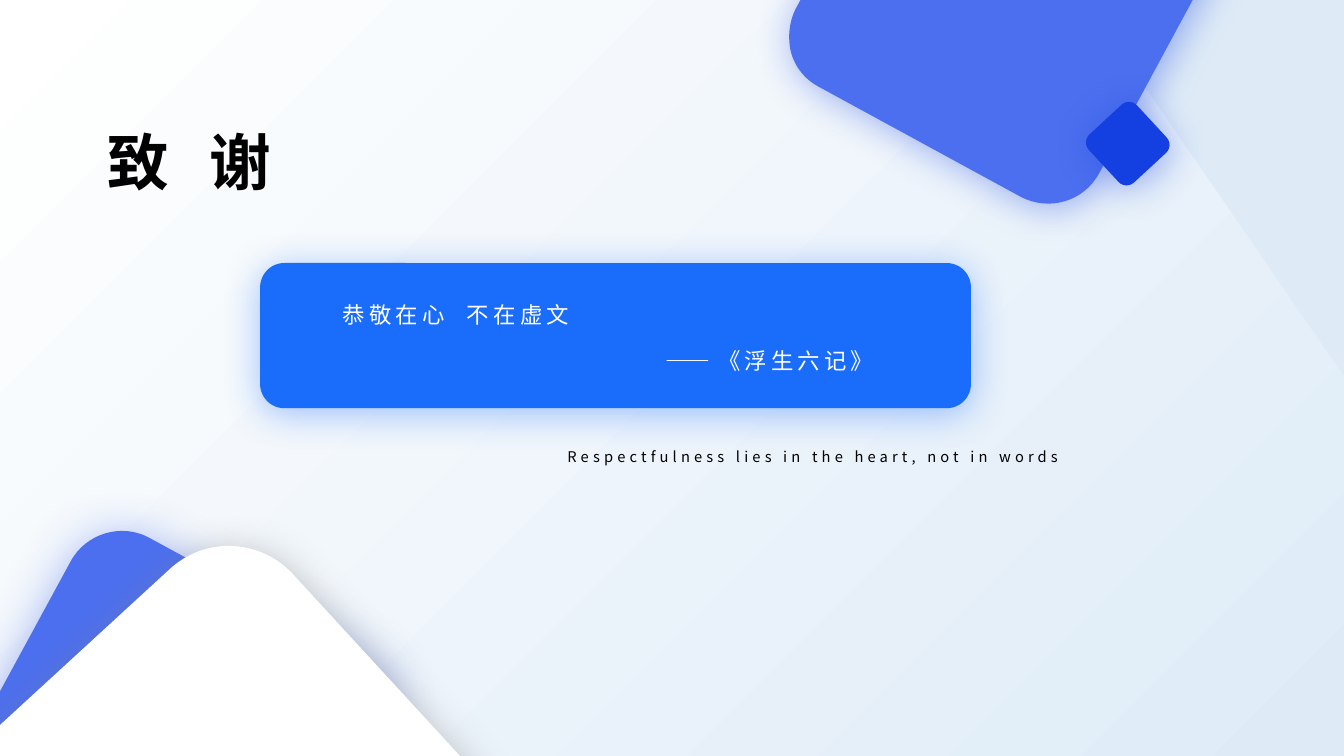
from dataclasses import dataclass
from math import cos, radians, sin

from lxml.etree import SubElement
from pptx import Presentation
from pptx.dml.color import RGBColor
from pptx.enum.shapes import MSO_SHAPE as Preset
from pptx.enum.text import MSO_ANCHOR as Anchor, MSO_AUTO_SIZE as AutoSize, PP_ALIGN as Align
from pptx.oxml.ns import qn
from pptx.util import Inches, Pt


@dataclass(frozen=True)
class Theme:
    font: str = "Noto Sans CJK SC"
    white: str = "FFFFFF"
    black: str = "000000"
    pale: str = "DEEBF7"
    soft_blue: str = "4C6FEF"
    deep_blue: str = "1440E2"
    card_blue: str = "1A6CFB"
    grey: str = "808080"
    title_size: float = 44
    quote_size: float = 16
    caption_size: float = 10.5
    letter_spacing: float = 3


THEME = Theme()

# Outlines in slide inches: one point is a corner, three points are a cubic curve.
TOP_TILE = [
    [(7.83, 0.42)], [(7.84, 0.6), (7.95, 0.77), (8.12, 0.86)],
    [(10.12, 1.95)], [(10.4, 2.1), (10.75, 2), (10.9, 1.72)],
    [(11.98, -0.28)], [(12.06, -0.42), (12.07, -0.58), (12.03, -0.72)],
    [(12, -0.79)], [(8.37, -0.79)], [(7.89, 0.09)],
    [(7.84, 0.19), (7.82, 0.31), (7.83, 0.42)],
]
BOTTOM_TILE = [
    [(-0.49, 7.91)], [(3.43, 7.91)], [(3.79, 7.25)],
    [(3.94, 6.97), (3.84, 6.61), (3.55, 6.46)],
    [(1.49, 5.34)], [(1.21, 5.18), (0.85, 5.29), (0.7, 5.57)],
    [(-0.42, 7.63)], [(-0.46, 7.71), (-0.48, 7.78), (-0.49, 7.86)],
]
WHITE_PEAK = [
    [(-0.78, 7.91)], [(4.94, 7.91)], [(2.91, 5.7)],
    [(2.58, 5.34), (2.03, 5.32), (1.68, 5.65)],
]


def rgb(color):
    return RGBColor.from_string(color)


def add_glow(shape, color, blur, angle):
    """Put a soft coloured shadow around a shape."""
    effects = shape._element.spPr.find(qn("a:effectLst"))
    shadow = SubElement(effects, qn("a:outerShdw"), blurRad=str(Pt(blur)),
                        dist=str(Pt(4)), dir=str(angle * 60000),
                        algn="ctr", rotWithShape="0")
    tint = SubElement(shadow, qn("a:srgbClr"), val=color)
    SubElement(tint, qn("a:alpha"), val="40000")


def paint(shape, color, glow=None):
    shape.fill.solid()
    shape.fill.fore_color.rgb = rgb(color)
    shape.line.fill.background()
    shape.shadow.inherit = False
    if glow:
        add_glow(shape, *glow)


def add_preset(slide, preset, box, color, rotation=0, flipped=False, glow=None):
    shape = slide.shapes.add_shape(preset, *map(Inches, box))
    shape.rotation = rotation
    if flipped:
        shape._element.spPr.xfrm.set("flipH", "1")
    paint(shape, color, glow)


def to_frame(point, box, rotation):
    """Move a slide point into the box as it lies before its rotation."""
    left, top, width, height = box
    x, y = point[0] - left - width / 2, point[1] - top - height / 2
    c, s = cos(radians(rotation)), sin(radians(rotation))
    return Inches(x * c + y * s + width / 2), Inches(y * c - x * s + height / 2)


def add_outline(slide, outline, box, rotation, color, glow):
    parts = [[to_frame(point, box, rotation) for point in part] for part in outline]
    start, *ends = [part[-1] for part in parts]
    builder = slide.shapes.build_freeform(*start)
    builder.add_line_segments(ends, close=True)
    shape = builder.convert_to_shape()
    shape.left, shape.top, shape.width, shape.height = map(Inches, box)
    shape.rotation = rotation

    track = shape._element.spPr.find(".//" + qn("a:path"))
    track.set("w", str(shape.width))
    track.set("h", str(shape.height))
    for segment, part in zip(list(track), parts):
        segment.remove(segment[0])
        if len(part) == 3:
            curve = SubElement(track, qn("a:cubicBezTo"))
            track.replace(segment, curve)
            segment = curve
        for x, y in part:
            SubElement(segment, qn("a:pt"), x=str(x), y=str(y))
    paint(shape, color, glow)


def write(shape, text, size, color, bold=False):
    frame = shape.text_frame
    frame.text = text
    frame.word_wrap = True
    frame.auto_size = AutoSize.SHAPE_TO_FIT_TEXT
    frame.vertical_anchor = Anchor.TOP
    paragraph = frame.paragraphs[0]
    paragraph.alignment = Align.LEFT
    run = paragraph.runs[0]
    run.font.size = Pt(size)
    run.font.bold = bold
    run.font.color.rgb = rgb(color)
    run.font.name = THEME.font
    properties = run.font._element
    properties.set("spc", str(int(THEME.letter_spacing * 100)))
    SubElement(properties, qn("a:ea"), typeface=THEME.font)


def add_text(slide, box, text, size, color):
    write(slide.shapes.add_textbox(*map(Inches, box)), text, size, color)


def set_title(slide, box, text):
    title = slide.shapes.title
    title.left, title.top, title.width, title.height = map(Inches, box)
    write(title, text, THEME.title_size, THEME.black, bold=True)


def set_background(slide):
    fill = slide.background.fill
    fill.gradient()
    fill.gradient_angle = 315
    for stop, color in zip(fill.gradient_stops, (THEME.white, THEME.pale)):
        stop.color.rgb = rgb(color)


def main():
    deck = Presentation()
    deck.slide_width, deck.slide_height = Inches(13.33), Inches(7.5)
    slide = deck.slides.add_slide(deck.slide_layouts[5])
    set_background(slide)

    blue_glow = (THEME.deep_blue, 28, 45)
    add_preset(slide, Preset.RIGHT_TRIANGLE, (9.87, 0.48, 4.64, 3.19),
               THEME.pale, 270, flipped=True)
    add_outline(slide, TOP_TILE, (8.26, -1.75, 3.3, 3.42), 298.5,
                THEME.soft_blue, blue_glow)
    add_preset(slide, Preset.ROUNDED_RECTANGLE, (10.86, 1.1, 0.65, 0.65),
               THEME.deep_blue, 227.2, flipped=True, glow=blue_glow)
    add_outline(slide, BOTTOM_TILE, (0.16, 5.55, 3.2, 3.52), 298.5,
                THEME.soft_blue, (THEME.deep_blue, 36, 90))
    add_outline(slide, WHITE_PEAK, (-0.03, 5.97, 4.21, 3.87), 317.4,
                THEME.white, (THEME.grey, 27, 45))

    add_preset(slide, Preset.ROUNDED_RECTANGLE, (2.58, 2.61, 7.05, 1.44),
               THEME.card_blue, glow=(THEME.card_blue, 28, 90))
    add_text(slide, (5.53, 4.39, 6.59, 0.28),
             "Respectfulness lies in the heart, not in words",
             THEME.caption_size, THEME.black)
    add_text(slide, (3.3, 2.94, 2.7, 0.37), "恭敬在心  不在虚文",
             THEME.quote_size, THEME.white)
    add_text(slide, (6.5, 3.39, 2.7, 0.37), "——《浮生六记》",
             THEME.quote_size, THEME.white)
    set_title(slide, (0.97, 1.18, 2.7, 0.84), "致  谢")

    deck.save("out.pptx")


if __name__ == "__main__":
    main()
